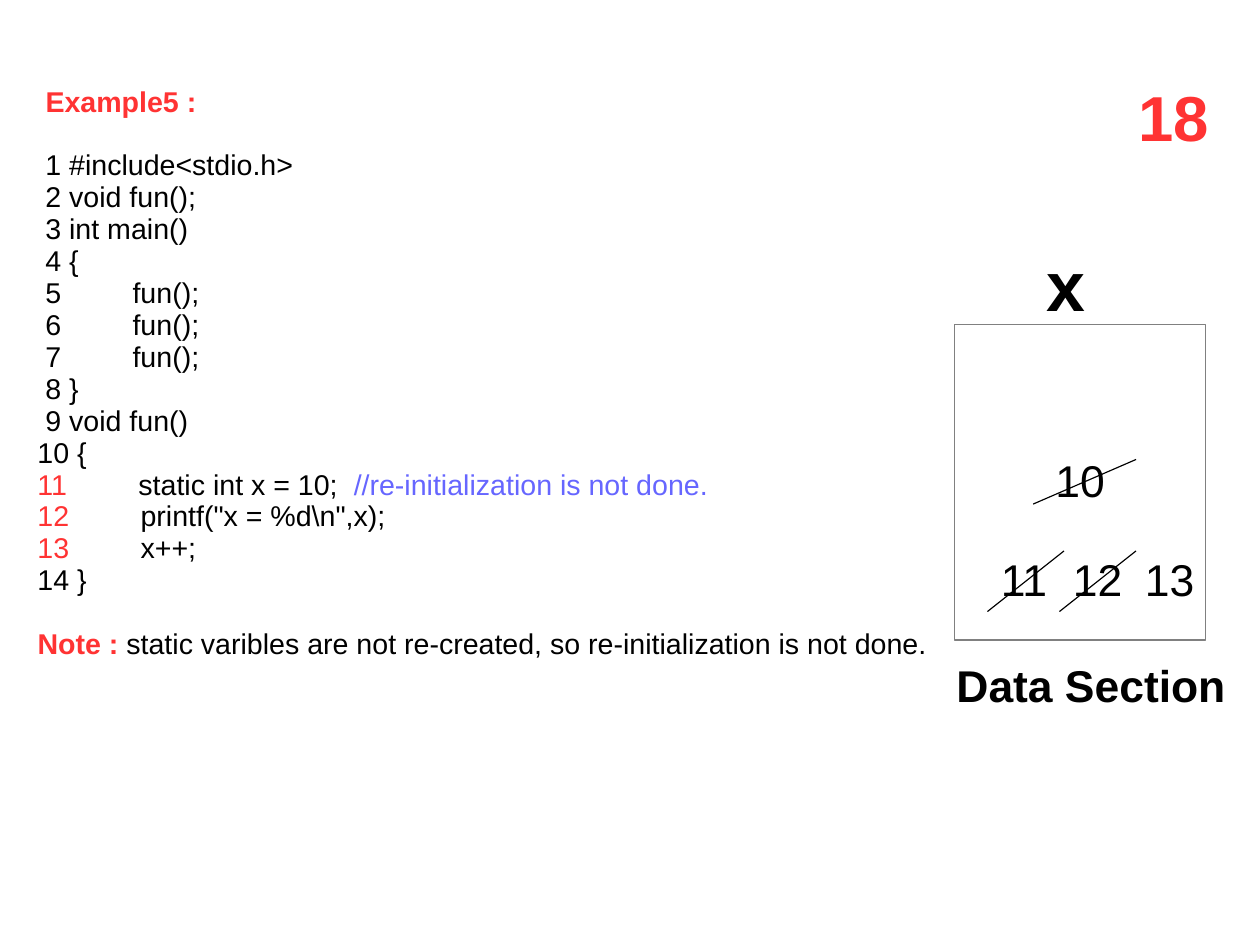
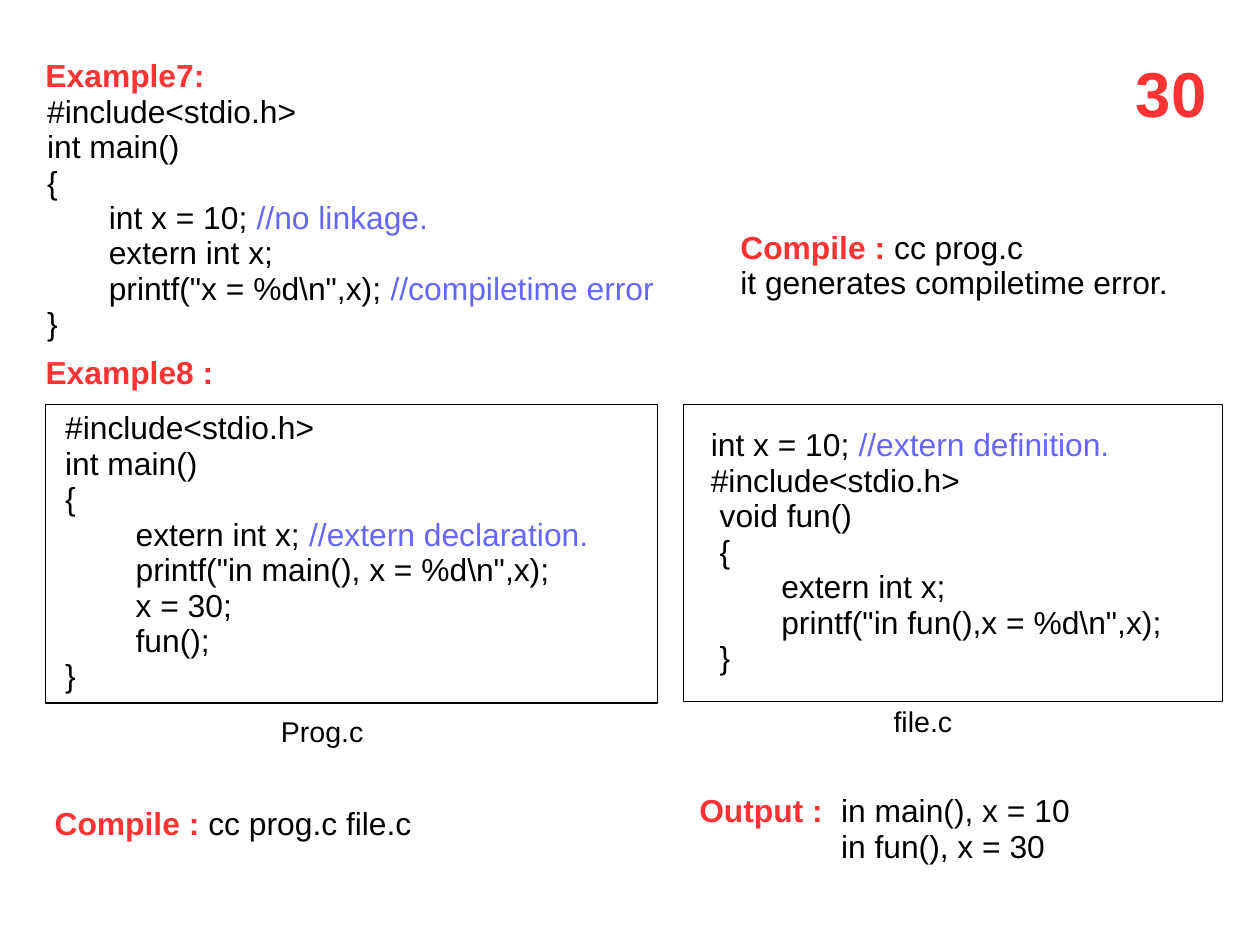
from dataclasses import dataclass

from lxml import etree
from pptx import Presentation
from pptx.dml.color import RGBColor
from pptx.enum.shapes import MSO_CONNECTOR, MSO_SHAPE
from pptx.enum.text import MSO_ANCHOR, PP_ALIGN
from pptx.oxml.ns import qn
from pptx.util import Emu, Inches, Pt

RECTANGLE = MSO_SHAPE.RECTANGLE
STRAIGHT = MSO_CONNECTOR.STRAIGHT
MIDDLE = MSO_ANCHOR.MIDDLE
CENTER = PP_ALIGN.CENTER

# Page of 28 by 21 cm, in the whole units of the 4:3 office format
PAGE_WIDTH = Emu(10080625)
PAGE_HEIGHT = Emu(7559675)


@dataclass(frozen=True)
class Theme:
    font: str = "Arial"
    ink: RGBColor = RGBColor(0x00, 0x00, 0x00)
    accent: RGBColor = RGBColor(0xFF, 0x33, 0x33)
    comment: RGBColor = RGBColor(0x66, 0x66, 0xFF)
    gray: RGBColor = RGBColor(0x80, 0x80, 0x80)
    paper: RGBColor = RGBColor(0xFF, 0xFF, 0xFF)
    small: float = 18
    body: float = 20
    value: float = 28
    number: float = 40
    variable: float = 44
    line_spacing: float = 0.93
    line_width: float = 0.75
    heading_indent: float = 0.14


THEME = Theme()


@dataclass(frozen=True)
class Run:
    text: str
    color: RGBColor = THEME.ink
    bold: bool = False


@dataclass(frozen=True)
class Line:
    """One paragraph; indent and tab in inches, space before in points."""
    runs: tuple[Run, ...]
    indent: float = 0
    before: float = 0
    tab: float = 0


@dataclass(frozen=True)
class Box:
    left: float
    top: float
    width: float
    height: float


# Text builders
def label(text: str) -> Run:
    return Run(text, THEME.accent, True)


def heading(text: str) -> Line:
    return Line((label(text),), THEME.heading_indent)


def code(text: str, comment: str = "", number: str = "") -> Line:
    runs = (Run(number, THEME.accent), Run(text), Run(comment, THEME.comment))
    return Line(tuple(run for run in runs if run.text))


def listing(text: str) -> list[Line]:
    """Code lines, each split at its // comment."""
    lines = []
    for row in text.split("\n"):
        source, mark, comment = row.partition("//")
        lines.append(code(source, mark + comment))
    return lines


# Drawing
def write_line(paragraph, line: Line, size: float) -> None:
    first = line.runs[0]
    paragraph.line_spacing = THEME.line_spacing
    if line.before:
        paragraph.space_before = Pt(line.before)
    properties = paragraph._p.get_or_add_pPr()
    if line.indent:
        properties.set("marL", str(Inches(line.indent)))
        properties.set("indent", "0")
    if line.tab:
        stops = etree.SubElement(properties, qn("a:tabLst"))
        etree.SubElement(stops, qn("a:tab"), pos=str(Inches(line.tab)), algn="l")
    paragraph.font.name = THEME.font
    paragraph.font.size = Pt(size)
    paragraph.font.bold = first.bold
    paragraph.font.color.rgb = first.color
    for item in line.runs:
        run = paragraph.add_run()
        run.text = item.text
        if item.color != first.color:
            run.font.color.rgb = item.color
        if item.bold != first.bold:
            run.font.bold = item.bold


def add_text(slide, box: Box, lines: list[Line], size: float) -> None:
    shape = slide.shapes.add_textbox(Inches(box.left), Inches(box.top),
                                     Inches(box.width), Inches(box.height))
    frame = shape.text_frame
    frame.word_wrap = True
    for index, line in enumerate(lines):
        paragraph = frame.add_paragraph() if index else frame.paragraphs[0]
        write_line(paragraph, line, size)


def add_frame(slide, box: Box, color: RGBColor):
    shape = slide.shapes.add_shape(RECTANGLE, Inches(box.left), Inches(box.top),
                                   Inches(box.width), Inches(box.height))
    shape.shadow.inherit = False
    shape.fill.solid()
    shape.fill.fore_color.rgb = THEME.paper
    shape.line.color.rgb = color
    shape.line.width = Pt(THEME.line_width)
    return shape


def add_strike(slide, x1: float, y1: float, x2: float, y2: float) -> None:
    connector = slide.shapes.add_connector(STRAIGHT, Inches(x1), Inches(y1),
                                           Inches(x2), Inches(y2))
    connector.line.color.rgb = THEME.ink
    connector.line.width = Pt(THEME.line_width)
    etree.SubElement(connector._element.spPr, qn("a:effectLst"))


def add_numbered_slide(presentation, number: str, left: float, top: float):
    slide = presentation.slides.add_slide(presentation.slide_layouts[6])
    add_text(slide, Box(left, top, 0.9, 0.77), [Line((label(number),))], THEME.number)
    return slide


# Static variable example
STATIC_CODE = """  1 #include<stdio.h>
  2 void fun();
  3 int main()
  4 {
  5         fun();
  6         fun();
  7         fun();
  8 }
  9 void fun()
 10 {"""


def build_static_slide(presentation) -> None:
    slide = add_numbered_slide(presentation, "18", 9.86, 0.69)
    blank_line = 20
    rows = listing(STATIC_CODE)
    rows[0] = Line(rows[0].runs, before=blank_line)
    note = Line((label("Note :"),
                 Run(" static varibles are not re-created, so re-initialization is not done.")),
                indent=0.07, before=blank_line)
    lines = [
        heading("Example5 :"),
        *rows,
        code("         static int x = 10;  ", "//re-initialization is not done.", " 11"),
        code('         printf("x = %d\\n",x);', number=" 12"),
        code("         x++;", number=" 13"),
        code(" 14 }"),
        note,
    ]
    add_text(slide, Box(0.16, 0.71, 10.08, 5.58), lines, THEME.small)

    # Data section with its successive values
    memory = add_frame(slide, Box(8.35, 2.84, 2.2, 2.76), THEME.gray)
    memory.text_frame.vertical_anchor = MIDDLE
    first_value = memory.text_frame.paragraphs[0]
    first_value.alignment = CENTER
    write_line(first_value, Line((Run("10"),)), THEME.value)
    add_strike(slide, 9.94, 4.02, 9.04, 4.41)

    top, height, step = 4.82, 0.53, 0.63
    values = ("11", "12", "13")
    for index, value in enumerate(values):
        left = 8.66 + index * step
        add_text(slide, Box(left, top, 0.7, height), [Line((Run(value),))], THEME.value)
        if value != values[-1]:
            add_strike(slide, left + 0.65, top, left - 0.02, top + height)

    add_text(slide, Box(9.06, 2.13, 0.6, 0.78),
             [Line((Run("x", bold=True),))], THEME.variable)
    add_text(slide, Box(8.27, 5.75, 2.65, 0.53),
             [Line((Run("Data Section", bold=True),))], THEME.value)


# Extern variable examples
LINKAGE_CODE = """  #include<stdio.h>
  int main()
  {
         int x = 10; //no linkage.
         extern int x;
         printf("x = %d\\n",x); //compiletime error
  }"""

MAIN_CODE = """   #include<stdio.h>
   int main()
   {
           extern int x; //extern declaration.
           printf("in main(), x = %d\\n",x);
           x = 30;
           fun();
   }"""

FUN_CODE = """   int x = 10; //extern definition.
   #include<stdio.h>
    void fun()
    {
           extern int x;
           printf("in fun(),x = %d\\n",x);
    }"""


def build_extern_slide(presentation) -> None:
    slide = add_numbered_slide(presentation, "30", 9.84, 0.48)
    for frame in (Box(0.4, 3.54, 5.35, 2.61), Box(5.98, 3.54, 4.72, 2.6)):
        add_frame(slide, frame, THEME.ink)

    output_tab = 1.24
    texts = [
        (Box(0.16, 0.47, 6.77, 2.6), [heading("Example7:"), *listing(LINKAGE_CODE)]),
        (Box(6.38, 1.97, 4.1, 0.74),
         [Line((label("Compile : "), Run("cc prog.c"))),
          Line((Run("it generates compiletime error."),))]),
        (Box(0.16, 3.07, 2.29, 0.43), [heading("Example8 :")]),
        (Box(0.24, 3.55, 5.52, 2.6), listing(MAIN_CODE)),
        (Box(5.89, 3.7, 4.66, 2.29), listing(FUN_CODE)),
        (Box(0.38, 7.01, 3.5, 0.43),
         [Line((label("Compile :"), Run(" cc prog.c file.c")))]),
        (Box(6.02, 6.9, 3.82, 0.74),
         [Line((label("Output :"), Run("\tin main(), x = 10")), tab=output_tab),
          Line((Run("\tin fun(), x = 30"),), tab=output_tab)]),
    ]
    for box, lines in texts:
        add_text(slide, box, lines, THEME.body)

    # File names under the frames
    for name, box in (("Prog.c", Box(2.36, 6.22, 1, 0.4)),
                      ("file.c", Box(7.72, 6.14, 0.8, 0.4))):
        add_text(slide, box, [Line((Run(name),))], THEME.small)


def main() -> None:
    presentation = Presentation()
    presentation.slide_width = PAGE_WIDTH
    presentation.slide_height = PAGE_HEIGHT
    build_static_slide(presentation)
    build_extern_slide(presentation)
    presentation.save("out.pptx")


if __name__ == "__main__":
    main()
